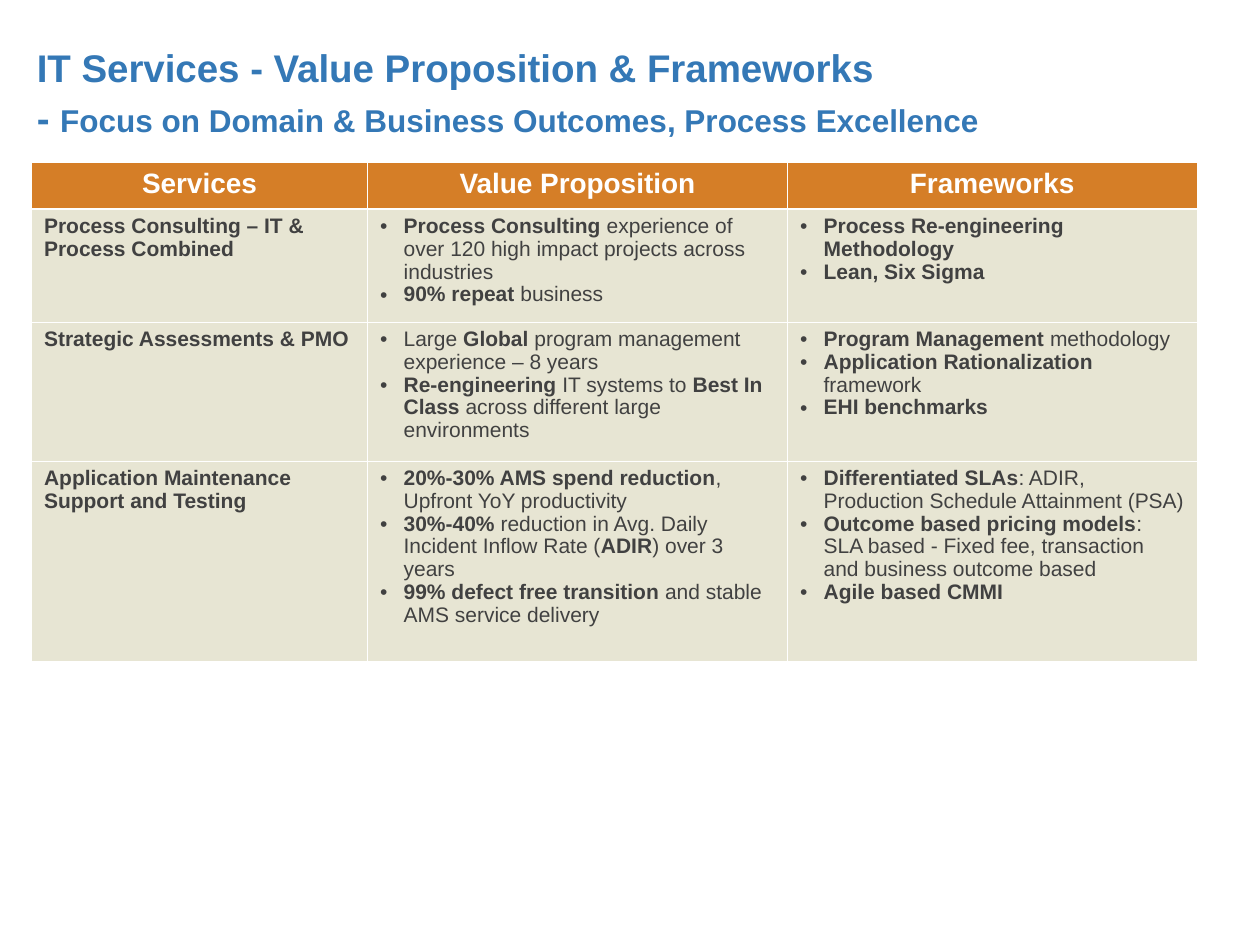
"""Build the IT services value proposition slide."""
from lxml import etree
from pptx import Presentation
from pptx import util as u
from pptx.dml.color import RGBColor
from pptx.enum import text
from pptx.oxml import ns

BLUE = RGBColor(0x34, 0x78, 0xB6)
ORANGE = RGBColor(0xD5, 0x7E, 0x27)
BEIGE = RGBColor(0xE7, 0xE5, 0xD3)
GREY = RGBColor(0x41, 0x41, 0x41)
WHITE = RGBColor(0xFF, 0xFF, 0xFF)

HEADERS = ["Services", "Value Proposition", "Frameworks"]
ROWS = [
    (["**Process Consulting – IT & Process Combined**"],
     ["**Process Consulting **experience of over 120 high impact projects across industries",
      "**90% repeat** business"],
     ["**Process Re-engineering Methodology**", "**Lean, Six Sigma**"]),
    (["**Strategic Assessments & PMO**"],
     ["Large **Global** program management experience – 8 years",
      "**Re-engineering** IT systems to **Best In Class **across different large environments"],
     ["**Program Management** methodology",
      "**Application Rationalization** framework",
      "**EHI benchmarks**"]),
    (["**Application Maintenance Support and Testing**"],
     ["**20%-30% AMS spend reduction**, Upfront YoY productivity",
      "**30%-40%** reduction in Avg. Daily Incident Inflow Rate (**ADIR**) over 3 years",
      "**99% defect free transition** and stable AMS service delivery"],
     ["**Differentiated SLAs**: ADIR, Production Schedule Attainment (PSA)",
      "**Outcome based pricing models**: SLA based - Fixed fee, transaction and business outcome based",
      "**Agile based CMMI**"]),
]
COLUMN_WIDTHS = [192, 240, 234]
ROW_HEIGHTS = [26.4, 64.6, 79.4, 114.4]


def add_run(paragraph, words, size, color, bold=True):
    run = paragraph.add_run()
    run.text = words
    run.font.color.rgb = color
    formats = {"name": "Arial", "size": u.Pt(size), "bold": bold}
    for name, value in formats.items():
        setattr(run.font, name, value)


def add_child(parent, tag, **attributes):
    return etree.SubElement(parent, ns.qn(tag), attributes)


presentation = Presentation()
presentation.slide_width, presentation.slide_height = u.Pt(720), u.Pt(540)
slide = presentation.slides.add_slide(presentation.slide_layouts[5])

title = slide.shapes.title
title_box = {"left": 21, "top": 22.3, "width": 606, "height": 38}
for name, value in title_box.items():
    setattr(title, name, u.Pt(value))
frame_formats = {"margin_left": 0, "margin_top": 0, "margin_right": 0, "margin_bottom": 0,
                 "word_wrap": True, "auto_size": text.MSO_AUTO_SIZE.NONE,
                 "vertical_anchor": text.MSO_ANCHOR.TOP}
for name, value in frame_formats.items():
    setattr(title.text_frame, name, value)
paragraph = title.text_frame.paragraphs[0]
paragraph.alignment = text.PP_ALIGN.LEFT
paragraph.line_spacing = 1.1
add_run(paragraph, "IT Services - Value Proposition & Frameworks", 22, BLUE)
paragraph.add_line_break()
add_run(paragraph, "- ", 22, BLUE)
add_run(paragraph, "Focus on Domain & Business Outcomes, Process Excellence", 18, BLUE)

table = slide.shapes.add_table(4, 3, u.Pt(18), u.Pt(93), u.Pt(sum(COLUMN_WIDTHS)),
                               u.Pt(sum(ROW_HEIGHTS))).table
for column, width in zip(table.columns, COLUMN_WIDTHS):
    column.width = u.Pt(width)
for row, height in zip(table.rows, ROW_HEIGHTS):
    row.height = u.Pt(height)

contents = [[[f"**{header}**"] for header in HEADERS], *ROWS]
for row_index, row_content in enumerate(contents):
    is_header = row_index == 0
    for column_index, lines in enumerate(row_content):
        cell = table.cell(row_index, column_index)
        properties = cell._tc.get_or_add_tcPr()
        for side in "LRTB":
            is_divider = (row_index, side) in [(0, "B"), (1, "T")]
            border = add_child(properties, f"a:ln{side}", w=str(u.Pt(1.5 if is_divider else 0.45)))
            add_child(add_child(border, "a:solidFill"), "a:srgbClr", val=str(WHITE))
        cell.fill.solid()
        cell.fill.fore_color.rgb = ORANGE if is_header else BEIGE
        for line_index, line in enumerate(lines):
            frame = cell.text_frame
            paragraph = frame.add_paragraph() if line_index else frame.paragraphs[0]
            paragraph.alignment = text.PP_ALIGN.CENTER if is_header else text.PP_ALIGN.LEFT
            paragraph.line_spacing = 0.97
            if column_index and not is_header:
                bullet = paragraph._p.get_or_add_pPr()
                bullet.set("marL", str(u.Pt(13.5)))
                bullet.set("indent", str(-u.Pt(13.5)))
                add_child(add_child(bullet, "a:buClr"), "a:srgbClr", val=str(GREY))
                add_child(bullet, "a:buFont", typeface="Arial")
                add_child(bullet, "a:buChar", char="•")
            for part_index, part in enumerate(line.split("**")):
                if part:
                    add_run(paragraph, part, 16 if is_header else 12,
                            WHITE if is_header else GREY, part_index % 2 == 1)

presentation.save("out.pptx")
